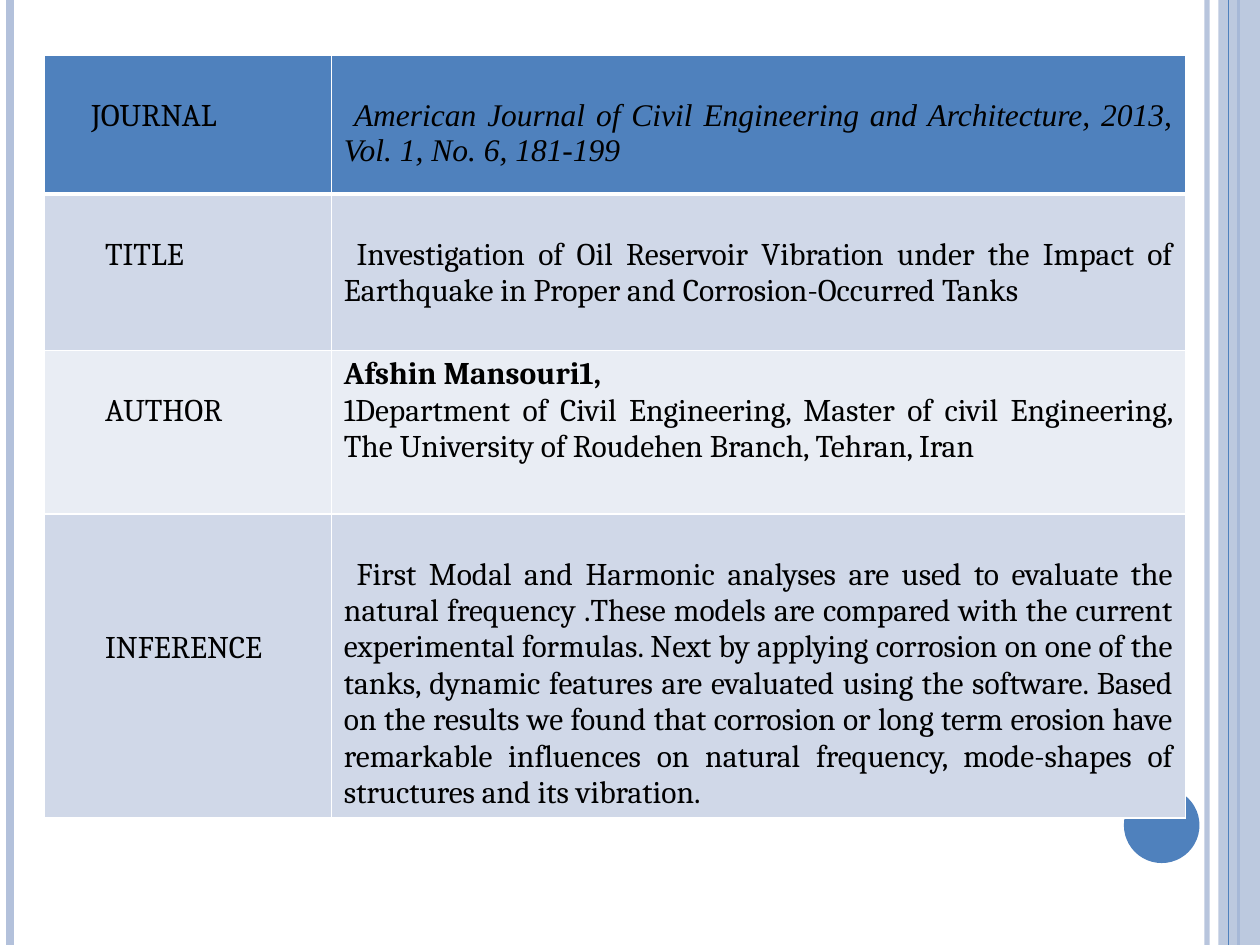
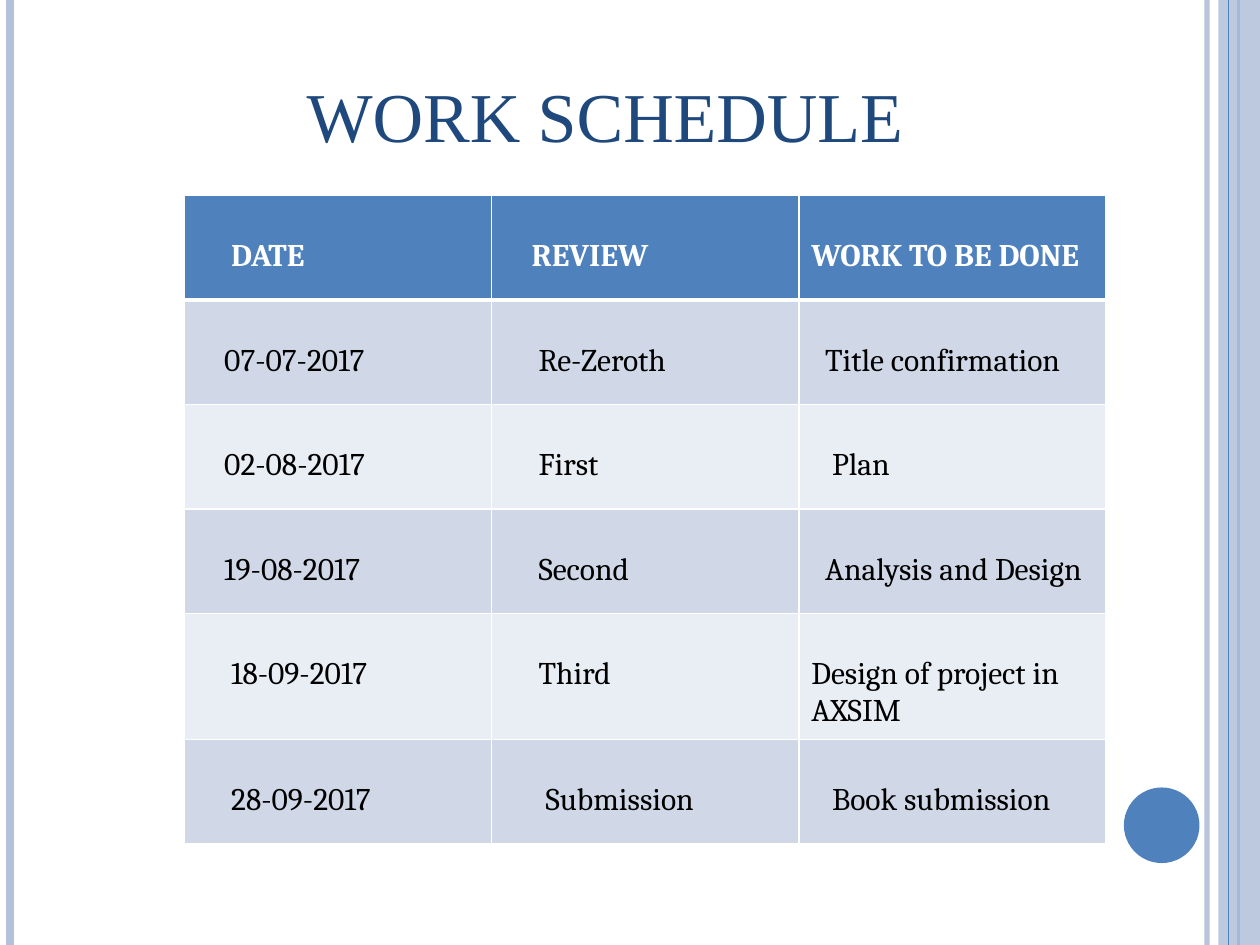
from lxml.etree import SubElement
from pptx import Presentation
from pptx.dml.color import RGBColor
from pptx.enum.shapes import MSO_CONNECTOR as Connector, MSO_SHAPE as Preset
from pptx.enum.text import MSO_ANCHOR as Anchor, PP_ALIGN as Align
from pptx.oxml.ns import qn
from pptx.util import Inches, Pt

WHITE = RGBColor(0xFF, 0xFF, 0xFF)
BLACK = RGBColor(0x00, 0x00, 0x00)
NAVY = RGBColor(0x1F, 0x49, 0x7D)
BLUE = RGBColor(0x4F, 0x81, 0xBD)
MIST = RGBColor(0xB3, 0xC1, 0xDB)
BAND_DARK = RGBColor(0xD0, 0xD8, 0xE8)
BAND_LIGHT = RGBColor(0xE9, 0xED, 0xF4)

UNIT = 0.1
COLUMNS, ROWS = 100, 75
SPACE = 0.55
LINE = 2.9
MARGIN_X, MARGIN_Y = 1, 0.5

BODY_FONT = {"name": "Cambria", "size": Pt(18), "bold": False}
TITLE_FONT = {"name": "Times New Roman", "size": Pt(40)}
JOURNAL_FONT = {"name": "Times New Roman", "italic": True}
BOLD = {"bold": True}
JUSTIFIED = {"alignment": Align.JUSTIFY}


def grid(count):
    return Inches(count * UNIT)


def apply(target, formats):
    for name, value in formats.items():
        setattr(target, name, value)


def set_alpha(fill, percent):
    color = fill._xPr.find(qn("a:solidFill"))[0]
    SubElement(color, qn("a:alpha"), val=str(percent * 1000))


def entry(text, spaces=0, skipped=1, first_line=0, font=None, paragraph=None):
    return {"paras": [(text, font or {}, paragraph or {})], "spaces": spaces,
            "skipped": skipped, "first_line": first_line}


class SlideKit:
    def __init__(self):
        self.deck = Presentation()
        apply(self.deck, {"slide_width": grid(COLUMNS),
                          "slide_height": grid(ROWS)})
        self.page = None

    def new_page(self):
        self.page = self.deck.slides.add_slide(self.deck.slide_layouts[6])
        self.rule(95.8, MIST, 3, 93)
        self.rule(0.8, MIST, 4.5)
        self.rule(98.3, BLUE, 1.5)
        self.shape(Preset.RECTANGLE, 96.7, 0, 3.3, ROWS, MIST, 87)
        self.rule(97.5, BLUE, 0.75)
        self.shape(Preset.OVAL, 89.2, 62.5, 6, 6, BLUE)

    def rule(self, column, color, width, alpha=100):
        line = self.page.shapes.add_connector(
            Connector.STRAIGHT, grid(column), 0, grid(column), grid(ROWS))
        line.line.width = Pt(width)
        line.line.fill.solid()
        line.line.fill.fore_color.rgb = color
        if alpha < 100:
            set_alpha(line.line.fill, alpha)
        SubElement(line._element.spPr, qn("a:effectLst"))

    def shape(self, preset, left, top, width, height, color, alpha=100):
        shape = self.page.shapes.add_shape(
            preset, *map(grid, (left, top, width, height)))
        shape.shadow.inherit = False
        shape.fill.solid()
        shape.fill.fore_color.rgb = color
        shape.line.fill.background()
        if alpha < 100:
            set_alpha(shape.fill, alpha)

    def add_span(self, para, text, font, color):
        span = para.add_run()
        span.text = text
        apply(span.font, font)
        span.font.color.rgb = color

    def title(self, text, left, top, width, height):
        box = self.page.shapes.add_textbox(
            *map(grid, (left, top, width, height)))
        apply(box.text_frame, {"word_wrap": True,
                               "vertical_anchor": Anchor.BOTTOM})
        para = box.text_frame.paragraphs[0]
        para.alignment = Align.CENTER
        self.add_span(para, text, TITLE_FONT, NAVY)

    def border(self, cell, row):
        props = cell._tc.get_or_add_tcPr()
        heavy = {(0, "B"), (1, "T")}
        for side in "LRTB":
            width = Pt(3 if (row, side) in heavy else 1)
            line = SubElement(props, qn(f"a:ln{side}"), w=str(width))
            fill = SubElement(line, qn("a:solidFill"))
            SubElement(fill, qn("a:srgbClr"), val=str(WHITE))

    def fill_cell(self, cell, content, color):
        apply(cell, {
            "margin_left": grid(MARGIN_X + content["spaces"] * SPACE),
            "margin_right": grid(MARGIN_X),
            "margin_top": grid(MARGIN_Y + content["skipped"] * LINE),
            "margin_bottom": grid(MARGIN_Y)})
        frame = cell.text_frame
        for index, (text, font, layout) in enumerate(content["paras"]):
            para = frame.add_paragraph() if index else frame.paragraphs[0]
            apply(para, layout)
            if content["first_line"]:
                props = para._p.get_or_add_pPr()
                props.set("indent", str(grid(content["first_line"])))
            self.add_span(para, text, BODY_FONT | font, color)

    def table(self, left, top, widths, heights, records, header_color):
        table = self.page.shapes.add_table(
            len(heights), len(widths),
            *map(grid, (left, top, sum(widths), sum(heights)))).table
        for column, width in zip(table.columns, widths):
            column.width = grid(width)
        for index, (row, height) in enumerate(zip(table.rows, heights)):
            row.height = grid(height)
            band = BAND_DARK if index % 2 else BAND_LIGHT
            for cell, content in zip(row.cells, records[index]):
                self.border(cell, index)
                cell.fill.solid()
                cell.fill.fore_color.rgb = band if index else BLUE
                self.fill_cell(cell, content, BLACK if index else header_color)


def add_journal_review(kit):
    kit.new_page()
    author = entry("Afshin Mansouri1,", skipped=0, font=BOLD)
    author["paras"].append((
        "1Department of Civil Engineering, Master of civil Engineering, "
        "The University of Roudehen Branch, Tehran, Iran", {}, JUSTIFIED))
    records = [
        (entry("JOURNAL", 5),
         entry("American Journal of Civil Engineering and Architecture, 2013, "
               "Vol. 1, No. 6, 181-199", first_line=0.8,
               font=JOURNAL_FONT, paragraph=JUSTIFIED)),
        (entry("TITLE", 7),
         entry("Investigation of Oil Reservoir Vibration under the Impact of "
               "Earthquake in Proper and Corrosion-Occurred Tanks",
               first_line=1, paragraph=JUSTIFIED)),
        (entry("AUTHOR", 7), author),
        (entry("INFERENCE", 7, skipped=3),
         entry("First Modal and Harmonic analyses are used to evaluate the "
               "natural frequency .These models are compared with the current "
               "experimental formulas. Next by applying corrosion on one of "
               "the tanks, dynamic features are evaluated using the software. "
               "Based on the results we found that corrosion or long term "
               "erosion have remarkable influences on natural frequency, "
               "mode-shapes of structures and its vibration.",
               first_line=1, paragraph=JUSTIFIED)),
    ]
    kit.table(3.5, 4.4, (22.8, 67.8), (11, 12.4, 13, 23.9), records, BLACK)


def add_work_schedule(kit):
    kit.new_page()
    kit.title("WORK SCHEDULE", 16.9, 5.2, 62.2, 7.7)
    schedule = [
        (("DATE", 5), ("REVIEW", 4), ("WORK TO BE DONE", 0)),
        (("07-07-2017", 4), ("Re-Zeroth", 5), ("Title confirmation", 2)),
        (("02-08-2017", 4), ("First", 5), ("Plan", 3)),
        (("19-08-2017", 4), ("Second", 5), ("Analysis and Design", 2)),
        (("18-09-2017", 5), ("Third", 5), ("Design of project in AXSIM", 0)),
        (("28-09-2017", 5), ("Submission", 6), ("Book submission", 3)),
    ]
    records = [[entry(text, spaces, font={"bold": index == 0})
                for text, spaces in row]
               for index, row in enumerate(schedule)]
    heights = [8.3] * 4 + [10, 8.3]
    kit.table(14.6, 15.5, [24.4] * 3, heights, records, WHITE)


def main():
    kit = SlideKit()
    add_journal_review(kit)
    add_work_schedule(kit)
    kit.deck.save("out.pptx")


if __name__ == "__main__":
    main()
